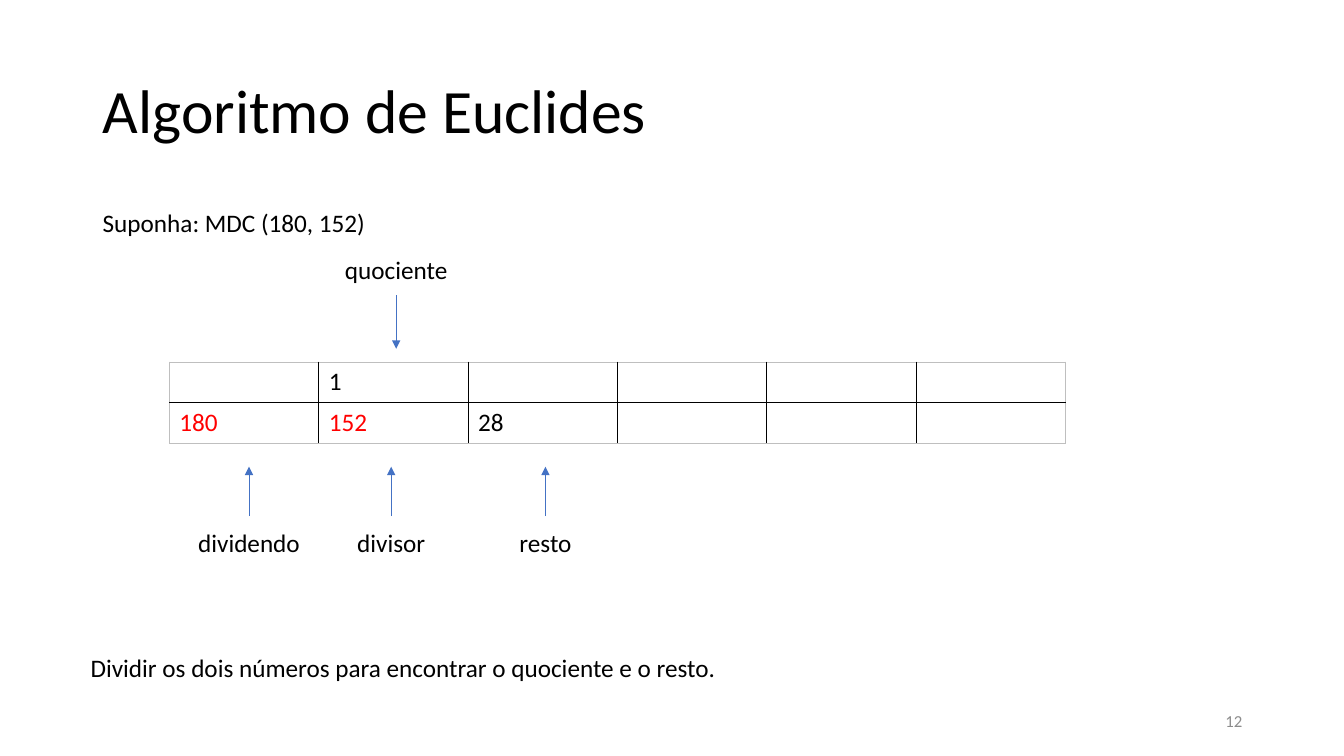
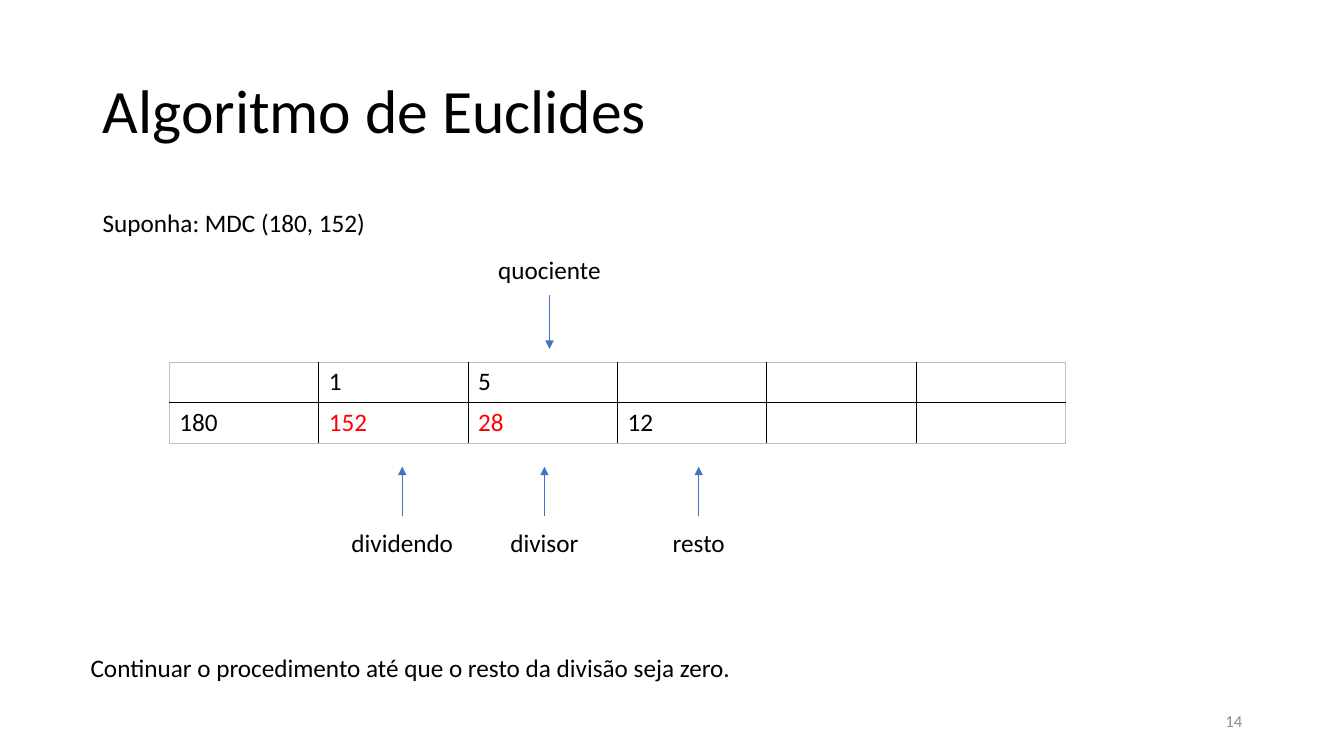
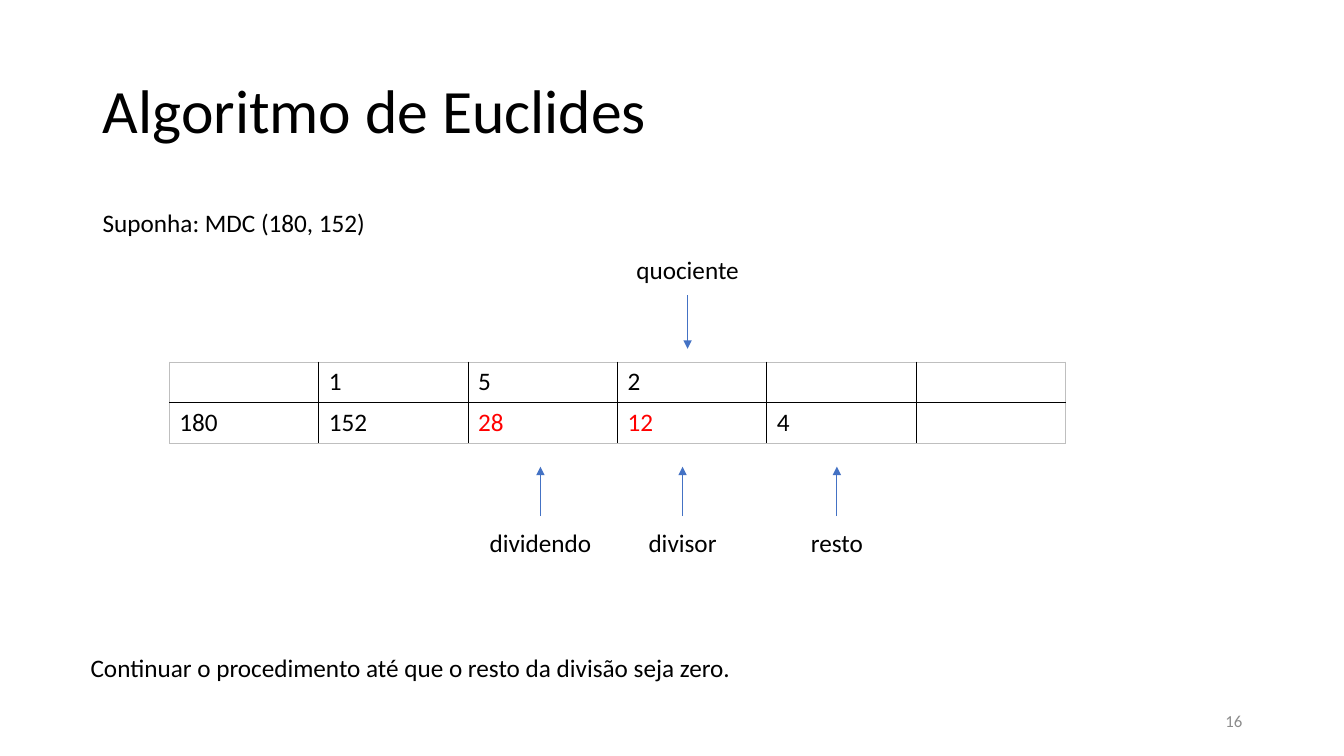
from dataclasses import dataclass

from lxml import etree
from pptx import Presentation
from pptx.dml.color import RGBColor
from pptx.enum.shapes import MSO_CONNECTOR
from pptx.enum.text import MSO_ANCHOR, MSO_AUTO_SIZE, PP_ALIGN
from pptx.oxml.ns import qn
from pptx.util import Inches, Pt

LEFT, CENTER, RIGHT = PP_ALIGN.LEFT, PP_ALIGN.CENTER, PP_ALIGN.RIGHT
MIDDLE = MSO_ANCHOR.MIDDLE
FIT_SHAPE, NO_FIT = MSO_AUTO_SIZE.SHAPE_TO_FIT_TEXT, MSO_AUTO_SIZE.NONE
STRAIGHT = MSO_CONNECTOR.STRAIGHT

FONT = "Calibri"
BLACK, RED, BLUE = "000000", "FF0000", "4472C4"
PAGE_GRAY, EDGE_GRAY = "8C8C8C", "BFBFBF"
TITLE = "Algoritmo de Euclides"
PROBLEM = "Suponha: MDC (180, 152)"
CONTINUE = "Continuar o procedimento até que o resto da divisão seja zero."

QUOTIENTS = ("1", "5", "2")
REMAINDERS = ("180", "152", "28", "12", "4")
COLUMNS, ROWS = 6, 2
GRID_LEFT, GRID_TOP, GRID_WIDTH, GRID_HEIGHT = 1.68, 3.59, 8.89, 0.81
LABEL_HEIGHT = 0.4


@dataclass(frozen=True)
class Callout:
    """A label and its arrow, placed relative to the quotient's arrow."""
    label: str
    offset: float
    width: float
    label_top: float
    arrow_start: float
    arrow_end: float


@dataclass(frozen=True)
class Step:
    division: int
    page: str
    quotient_x: float
    note: str
    note_width: float


BELOW_GRID = (5.18, 5.12, 4.63)
CALLOUTS = (
    Callout("dividendo", -1.46, 1.22, *BELOW_GRID),
    Callout("divisor", -0.05, 0.88, *BELOW_GRID),
    Callout("quociente", 0, 1.23, 2.47, 2.93, 3.46),
    Callout("resto", 1.48, 0.72, *BELOW_GRID),
)
STEPS = (
    Step(1, "12", 3.93, "Dividir os dois números para encontrar o quociente e o resto.", 6.48),
    Step(2, "14", 5.45, CONTINUE, 6.62),
    Step(3, "16", 6.82, CONTINUE, 6.62),
)


def rgb(color: str) -> RGBColor:
    return RGBColor.from_string(color)


def format_paragraph(paragraph, size: float = 18, color: str = BLACK, align=LEFT) -> None:
    paragraph.alignment = align
    paragraph.font.name = FONT
    paragraph.font.size = Pt(size)
    paragraph.font.color.rgb = rgb(color)


def add_label(slide, text: str, left: float, top: float, width: float, align=LEFT) -> None:
    frame = slide.shapes.add_textbox(
        Inches(left), Inches(top), Inches(width), Inches(LABEL_HEIGHT)).text_frame
    frame.word_wrap = False
    frame.auto_size = FIT_SHAPE
    frame.text = text
    format_paragraph(frame.paragraphs[0], align=align)


def add_title(slide) -> None:
    title = slide.shapes.title
    title.left, title.top = Inches(0.92), Inches(0.4)
    title.width, title.height = Inches(11.5), Inches(1.45)
    frame = title.text_frame
    frame.text = TITLE
    frame.vertical_anchor = MIDDLE
    frame.auto_size = NO_FIT
    frame.paragraphs[0].line_spacing = 0.9
    format_paragraph(frame.paragraphs[0], 44)


def add_page_number(slide, page: str) -> None:
    frame = slide.shapes.add_textbox(
        Inches(9.42), Inches(6.95), Inches(3), Inches(0.4)).text_frame
    frame.word_wrap = True
    frame.vertical_anchor = MIDDLE
    frame.text = page
    format_paragraph(frame.paragraphs[0], 12, PAGE_GRAY, RIGHT)


def add_arrow(slide, x: float, start: float, end: float) -> None:
    arrow = slide.shapes.add_connector(
        STRAIGHT, Inches(x), Inches(start), Inches(x), Inches(end))
    arrow.line.color.rgb = rgb(BLUE)
    arrow.line.width = Pt(0.5)
    etree.SubElement(arrow.line._get_or_add_ln(), qn("a:tailEnd"), type="triangle")
    etree.SubElement(arrow._element.spPr, qn("a:effectLst"))


def set_borders(cell, row: int, column: int) -> None:
    """Draw inner rules in black and the outer edge in thin gray."""
    outer_sides = (("L", column == 0), ("R", column == COLUMNS - 1),
                   ("T", row == 0), ("B", row == ROWS - 1))
    properties = cell._tc.get_or_add_tcPr()
    for position, (side, is_outer) in enumerate(outer_sides):
        border = etree.Element(qn(f"a:ln{side}"), w=str(Pt(0.5 if is_outer else 1)))
        fill = etree.SubElement(border, qn("a:solidFill"))
        etree.SubElement(fill, qn("a:srgbClr"), val=EDGE_GRAY if is_outer else BLACK)
        properties.insert(position, border)


def add_division_grid(slide, division: int) -> None:
    """Show the values known after a division, its two operands in red."""
    grid = slide.shapes.add_table(
        ROWS, COLUMNS, Inches(GRID_LEFT), Inches(GRID_TOP),
        Inches(GRID_WIDTH), Inches(GRID_HEIGHT)).table
    grid.first_row = grid.horz_banding = False
    known_rows = (("", *QUOTIENTS[:division]), REMAINDERS[:division + 2])
    for row, known in enumerate(known_rows):
        for column in range(COLUMNS):
            cell = grid.cell(row, column)
            cell.text = known[column] if column < len(known) else ""
            is_operand = row == 1 and column in (division - 1, division)
            format_paragraph(cell.text_frame.paragraphs[0],
                             color=RED if is_operand else BLACK)
            cell.fill.background()
            set_borders(cell, row, column)


def add_step(presentation, step: Step) -> None:
    slide = presentation.slides.add_slide(presentation.slide_layouts[5])
    add_title(slide)
    add_page_number(slide, step.page)
    add_label(slide, PROBLEM, 0.92, 2.01, 2.91)
    add_division_grid(slide, step.division)
    for callout in CALLOUTS:
        x = step.quotient_x + callout.offset
        add_arrow(slide, x, callout.arrow_start, callout.arrow_end)
        add_label(slide, callout.label, x - callout.width / 2,
                  callout.label_top, callout.width, CENTER)
    add_label(slide, step.note, 0.8, 6.42, step.note_width)


def main() -> None:
    presentation = Presentation()
    presentation.slide_width = Inches(13.33)
    presentation.slide_height = Inches(7.5)
    for step in STEPS:
        add_step(presentation, step)
    presentation.save("out.pptx")


if __name__ == "__main__":
    main()
